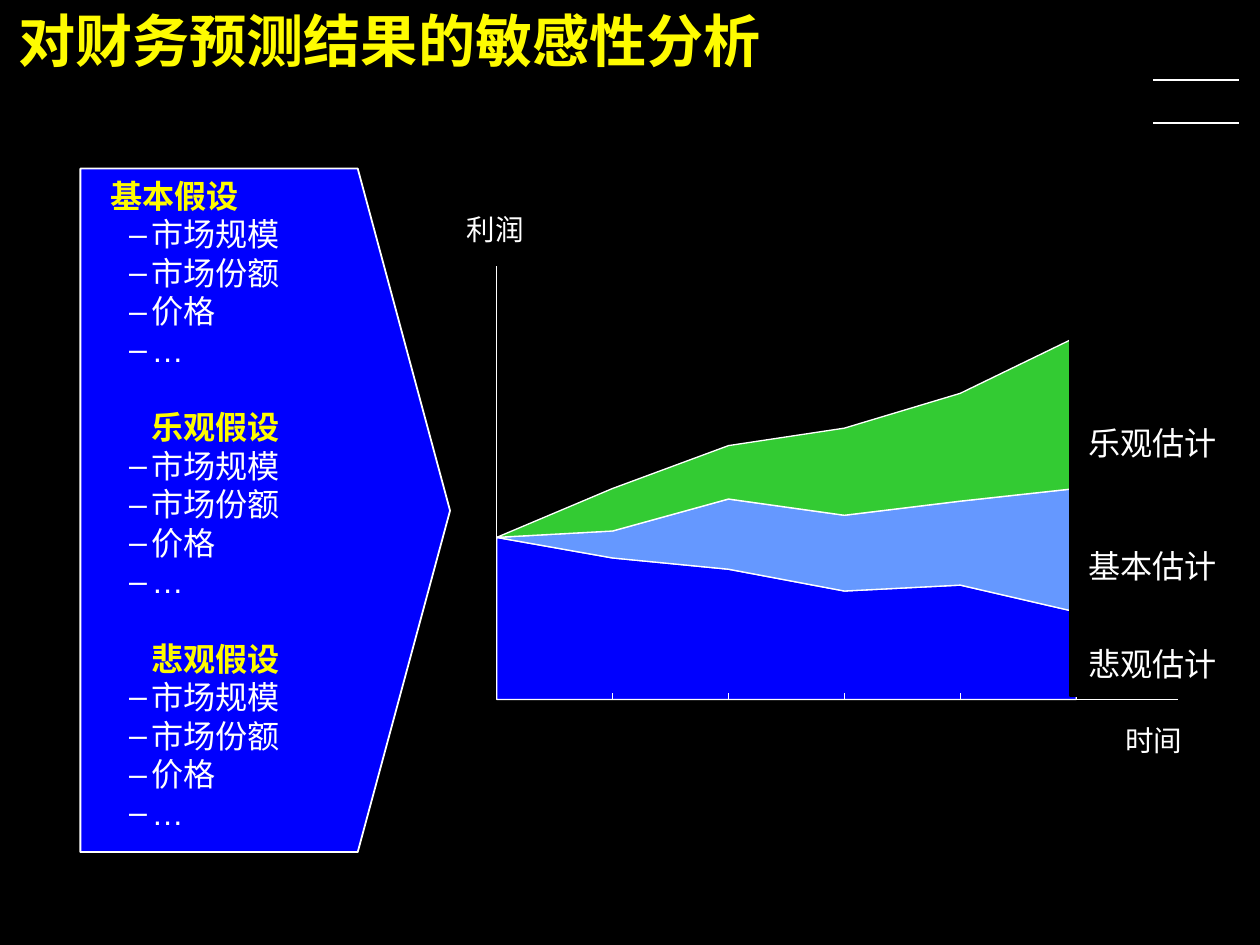
from dataclasses import dataclass
from typing import NamedTuple

from lxml.etree import SubElement
from pptx import Presentation
from pptx.dml.color import RGBColor
from pptx.enum.shapes import MSO_CONNECTOR, MSO_SHAPE
from pptx.enum.text import PP_ALIGN
from pptx.oxml.ns import qn
from pptx.util import Pt


@dataclass(frozen=True)
class Theme:
    black: str = "000000"
    white: str = "FFFFFF"
    yellow: str = "FEFB00"
    blue: str = "0000FE"
    sky: str = "6598FF"
    green: str = "33CB33"
    latin: str = "Arial"
    cjk: str = "Noto Sans CJK SC"
    title: float = 32
    body: float = 18
    axis: float = 16
    thin: float = 0.75
    line: float = 1


class Label(NamedTuple):
    text: str
    left: float
    top: float
    width: float
    size: float
    center: bool = False


class Band(NamedTuple):
    upper: list[float]
    lower: list[float]
    color: str


class Rule(NamedTuple):
    x1: float
    y1: float
    x2: float
    y2: float
    width: float


LOOK = Theme()
deck = Presentation()
deck.slide_width, deck.slide_height = Pt(705.6), Pt(529.2)
slide = deck.slides.add_slide(deck.slide_layouts[6])
shapes = slide.shapes


def rgb(color: str) -> RGBColor:
    return RGBColor.from_string(color)


def paint(shape, fill: str, edge: str, width: float) -> None:
    shape.shadow.inherit = False
    shape.fill.solid()
    shape.fill.fore_color.rgb = rgb(fill)
    shape.line.color.rgb = rgb(edge)
    shape.line.width = Pt(width)


def draw_rule(rule: Rule) -> None:
    line = shapes.add_connector(MSO_CONNECTOR.STRAIGHT, *map(Pt, rule[:4]))
    line.line.color.rgb = rgb(LOOK.white)
    line.line.width = Pt(rule.width)
    SubElement(line._element.spPr, qn("a:effectLst"))


def draw_shape(points: list[tuple[float, float]], fill: str, width: float) -> None:
    spots = [(Pt(x), Pt(y)) for x, y in points]
    path = shapes.build_freeform(*spots[0], scale=1.0)
    path.add_line_segments(spots[1:], close=True)
    paint(path.convert_to_shape(), fill, LOOK.white, width)


def add_frame(left: float, top: float, width: float, height: float, wrap: bool = True):
    frame = shapes.add_textbox(*map(Pt, (left, top, width, height))).text_frame
    frame.margin_left = frame.margin_right = frame.margin_top = frame.margin_bottom = 0
    frame.word_wrap = wrap
    return frame


def add_run(para, text: str, size: float, color: str, face: str, bold: bool = False) -> None:
    run = para.add_run()
    run.text = text
    run.font.size, run.font.bold, run.font.name = Pt(size), bold, face
    run.font.color.rgb = rgb(color)
    if face == LOOK.cjk:
        SubElement(run._r.get_or_add_rPr(), qn("a:ea"), typeface=face)


def indent(para, left: float, first: float) -> None:
    props = para._p.get_or_add_pPr()
    props.set("marL", str(Pt(left)))
    props.set("indent", str(Pt(first)))


def add_dash(para) -> None:
    props = para._p.get_or_add_pPr()
    SubElement(SubElement(props, qn("a:buClr")), qn("a:srgbClr"), val=LOOK.white)
    SubElement(props, qn("a:buFont"), typeface=LOOK.latin)
    SubElement(props, qn("a:buChar"), char="–")


def draw_label(label: Label) -> None:
    frame = add_frame(label.left, label.top, label.width, label.size * 1.2, not label.center)
    para = frame.paragraphs[0]
    para.alignment = PP_ALIGN.CENTER if label.center else PP_ALIGN.LEFT
    add_run(para, label.text, label.size, LOOK.white, LOOK.cjk)


slide.background.fill.solid()
slide.background.fill.fore_color.rgb = rgb(LOOK.black)

# Corner rules
for y in (44.6, 69):
    draw_rule(Rule(645.8, y, 694, y, LOOK.line))

# Title
head = add_frame(10.1, 2.9, 683.3, 38.4)
add_run(head.paragraphs[0], "对财务预测结果的敏感性分析",
        LOOK.title, LOOK.yellow, LOOK.latin, True)

# Arrow panel with the three cases
draw_shape([(45, 94.4), (200.3, 94.4), (252, 286), (200.3, 477.2), (45, 477.2)],
           LOOK.blue, LOOK.line)
cases = add_frame(61.9, 98.6, 249.1, 389.5)
for num, name in enumerate(("基本假设", "乐观假设", "悲观假设")):
    para = cases.add_paragraph() if num else cases.paragraphs[0]
    if num:
        indent(para, 23, 0)
        para.space_before = Pt(21.6)
    add_run(para, name, LOOK.body, LOOK.yellow, LOOK.latin, True)
    for item in ("市场规模", "市场份额", "价格", "…"):
        para = cases.add_paragraph()
        indent(para, 23, -12.5)
        add_dash(para)
        add_run(para, item, LOOK.body, LOOK.white, LOOK.latin)

# Profit bands over time
BASE = 391.7
years = [278.2 + 64.9 * step for step in range(6)]
low = [301, 312.5, 318.8, 331, 327.7, 342.7]
mid = [301, 297.4, 279.5, 288.6, 280.7, 273.6]
high = [301, 273.6, 249.6, 239.8, 220.3, 188.8]
for band in (Band(low, [BASE] * 6, LOOK.blue),
             Band(mid, low, LOOK.sky),
             Band(high, mid, LOOK.green)):
    edge = list(zip(years, band.upper)) + list(zip(years, band.lower))[::-1]
    draw_shape(edge, band.color, LOOK.thin)

# Axes and ticks
draw_rule(Rule(years[0], 149, years[0], BASE, LOOK.thin))
draw_rule(Rule(years[0], BASE, 659.5, BASE, LOOK.thin))
for x in years[1:]:
    draw_rule(Rule(x, BASE, x, BASE - 3.6, LOOK.thin))

# Axis and band labels
for label in (Label("时间", 630, 404.8, 32, LOOK.axis, True),
              Label("乐观估计", 609.6, 237, 73.5, LOOK.body),
              Label("基本估计", 609.6, 306.2, 73.5, LOOK.body),
              Label("悲观估计", 609.6, 360.7, 73.5, LOOK.body),
              Label("利润", 261.4, 118.8, 32, LOOK.axis, True)):
    draw_label(label)

# Black strip that trims the right edge of the bands
strip = shapes.add_shape(MSO_SHAPE.RECTANGLE, *map(Pt, (599, 183.6, 8.6, 206)))
paint(strip, LOOK.black, LOOK.black, LOOK.line)

deck.save("out.pptx")
